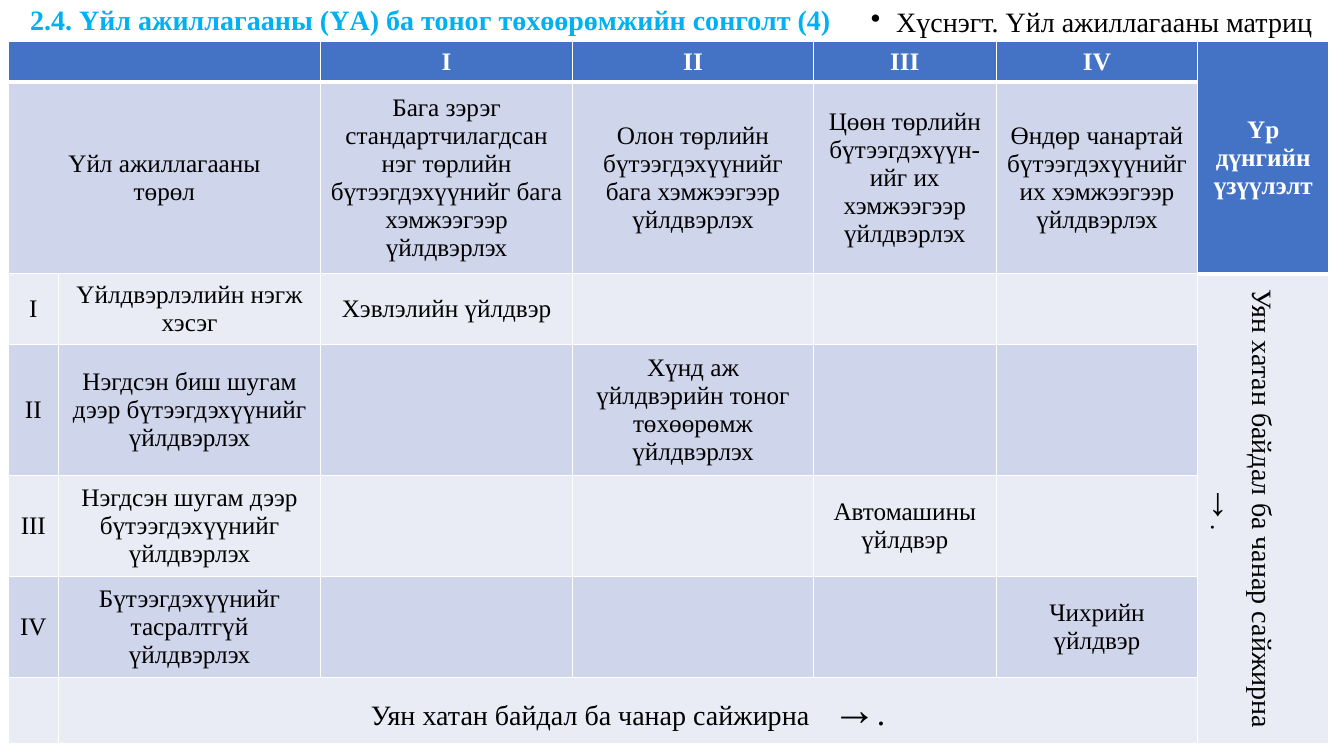
from lxml import etree
from pptx import Presentation
from pptx import util as u
from pptx.dml.color import RGBColor
from pptx.enum import text
from pptx.oxml.ns import qn

Pt = u.Pt
FONT = "Times New Roman"
BLUE, DARK_BAND, LIGHT_BAND = "4472C4", "CFD5EA", "E9EBF5"
TITLE_BLUE, BLACK, WHITE = "00B0F0", "000000", "FFFFFF"
COLUMN_WIDTHS = [36, 187.2, 180, 172, 130.6, 144, 93.6]
ROW_HEIGHTS = [29.3, 133, 47.8, 87, 66.5, 72.2, 47]
LAST_ROW = len(ROW_HEIGHTS) - 1
LAST_COLUMN = len(COLUMN_WIDTHS) - 1
IMPROVES = "Уян хатан байдал ба чанар сайжирна"

MATRIX = [
    ["", "", "I", "II", "III", "IV", "Үр дүнгийн үзүүлэлт"],
    ["Үйл ажиллагааны\nтөрөл", "",
     "Бага зэрэг стандартчилагдсан нэг төрлийн бүтээгдэхүүнийг бага хэмжээгээр үйлдвэрлэх",
     "Олон төрлийн бүтээгдэхүүнийг бага хэмжээгээр үйлдвэрлэх",
     "Цөөн төрлийн бүтээгдэхүүн-ийг их хэмжээгээр үйлдвэрлэх",
     "Өндөр чанартай бүтээгдэхүүнийг их хэмжээгээр үйлдвэрлэх", ""],
    ["I", "Үйлдвэрлэлийн нэгж хэсэг", "Хэвлэлийн үйлдвэр", "", "", "", ""],
    ["II", "Нэгдсэн биш шугам дээр бүтээгдэхүүнийг үйлдвэрлэх", "",
     "Хүнд аж үйлдвэрийн тоног төхөөрөмж үйлдвэрлэх", "", "", ""],
    ["III", "Нэгдсэн шугам дээр бүтээгдэхүүнийг үйлдвэрлэх", "", "",
     "Автомашины үйлдвэр", "", ""],
    ["IV", "Бүтээгдэхүүнийг тасралтгүй үйлдвэрлэх", "", "", "",
     "Чихрийн үйлдвэр", ""],
    [""] * 7,
]


def color(value):
    return RGBColor.from_string(value)


def style_font(font, size, value, bold=False):
    font.name = FONT
    font.size = Pt(size)
    font.bold = bold
    font.color.rgb = color(value)


def add_heading(slide, wording, box, size, value, align, bold=False, bullet=False):
    frame = slide.shapes.add_textbox(*map(Pt, box)).text_frame
    frame.word_wrap = True
    paragraph = frame.paragraphs[0]
    paragraph.text = wording
    paragraph.alignment = align
    if bullet:
        properties = paragraph._p.get_or_add_pPr()
        properties.set("marL", str(Pt(18)))
        properties.set("indent", str(-Pt(18)))
        etree.SubElement(properties, qn("a:buChar")).set("char", "•")
    style_font(paragraph.font, size, value, bold)
    return frame


def set_borders(cell, top, bottom):
    properties = cell._tc.get_or_add_tcPr()
    for side, width in (("L", 1), ("R", 1), ("T", top), ("B", bottom)):
        line = etree.SubElement(properties, qn(f"a:ln{side}"), w=str(Pt(width)))
        fill = etree.SubElement(line, qn("a:solidFill"))
        etree.SubElement(fill, qn("a:srgbClr")).set("val", WHITE)


def fill_cell(cell, wording, row, column):
    header_end = 1 if column == LAST_COLUMN else 0
    header = row <= header_end
    set_borders(cell, 3 if row == header_end + 1 else 1, 3 if row == header_end else 1)
    cell.fill.solid()
    band = DARK_BAND if row % 2 else LIGHT_BAND
    cell.fill.fore_color.rgb = color(BLUE if header else band)
    cell.vertical_anchor = text.MSO_ANCHOR.MIDDLE
    cell.text = wording
    for paragraph in cell.text_frame.paragraphs:
        paragraph.alignment = text.PP_ALIGN.CENTER
        style_font(paragraph.font, 18, WHITE if header else BLACK, header)


def add_runs(paragraph, *parts):
    paragraph.alignment = text.PP_ALIGN.CENTER
    runs = []
    for wording, size in parts:
        run = paragraph.add_run()
        run.text = wording
        style_font(run.font, size, BLACK)
        runs.append(run)
    return runs


def add_matrix(slide):
    frame = slide.shapes.add_table(
        len(ROW_HEIGHTS), len(COLUMN_WIDTHS), Pt(5.8), Pt(29.5),
        Pt(sum(COLUMN_WIDTHS)), Pt(sum(ROW_HEIGHTS)))
    table = frame.table
    for column, width in zip(table.columns, COLUMN_WIDTHS):
        column.width = Pt(width)
    for row, height in zip(table.rows, ROW_HEIGHTS):
        row.height = Pt(height)
    for row, wordings in enumerate(MATRIX):
        for column, wording in enumerate(wordings):
            fill_cell(table.cell(row, column), wording, row, column)

    merges = [((0, 0), (0, 1)), ((1, 0), (1, 1)), ((0, LAST_COLUMN), (1, LAST_COLUMN)),
              ((2, LAST_COLUMN), (LAST_ROW, LAST_COLUMN)),
              ((LAST_ROW, 1), (LAST_ROW, LAST_COLUMN - 1))]
    for first, last in merges:
        table.cell(*first).merge(table.cell(*last))

    vertical = table.cell(2, LAST_COLUMN)
    vertical._tc.get_or_add_tcPr().set("vert", "vert")
    add_runs(vertical.text_frame.paragraphs[0], (IMPROVES, 20))
    add_runs(vertical.text_frame.add_paragraph(), ("→", 28), (".", 18))

    horizontal = table.cell(LAST_ROW, 1).text_frame.paragraphs[0]
    gap = add_runs(horizontal, (IMPROVES, 20), (" ", 24), ("→", 32), (".", 24))[1]
    gap.font._element.set("spc", "1000")


def main():
    presentation = Presentation()
    presentation.slide_width = Pt(960)
    presentation.slide_height = Pt(540)
    slide = presentation.slides.add_slide(presentation.slide_layouts[6])
    title = add_heading(
        slide, "2.4. Үйл ажиллагааны (ҮА) ба тоног төхөөрөмжийн сонголт (4)",
        (14.4, 0.7, 921.6, 28.8), 20, TITLE_BLUE, text.PP_ALIGN.JUSTIFY, bold=True)
    title.vertical_anchor = text.MSO_ANCHOR.MIDDLE
    title.paragraphs[0].line_spacing = 0.9
    add_heading(slide, "Хүснэгт. Үйл ажиллагааны матриц", (14.4, 0, 930.2, 49),
                20, BLACK, text.PP_ALIGN.RIGHT, bullet=True)
    add_matrix(slide)
    presentation.save("out.pptx")


if __name__ == "__main__":
    main()
